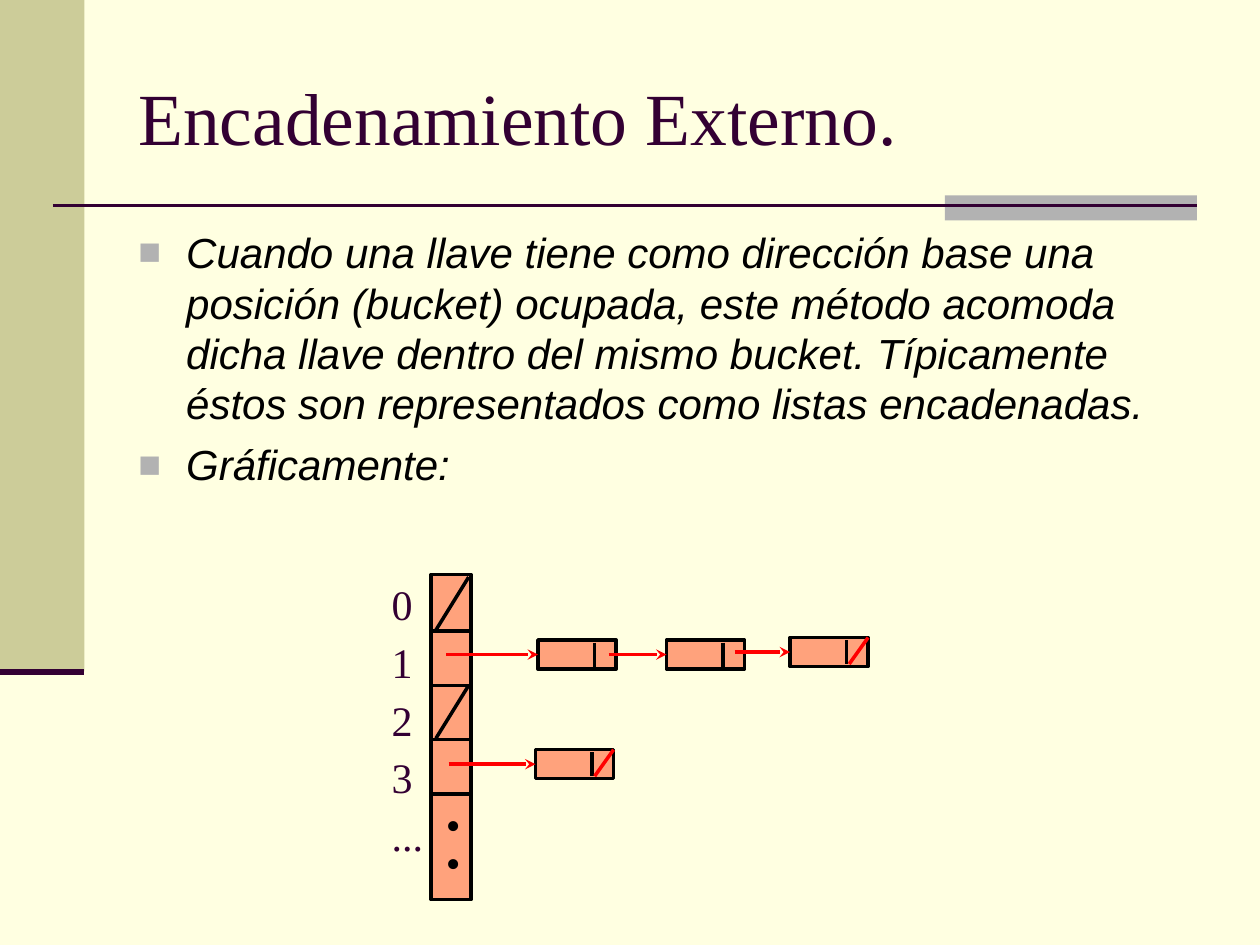
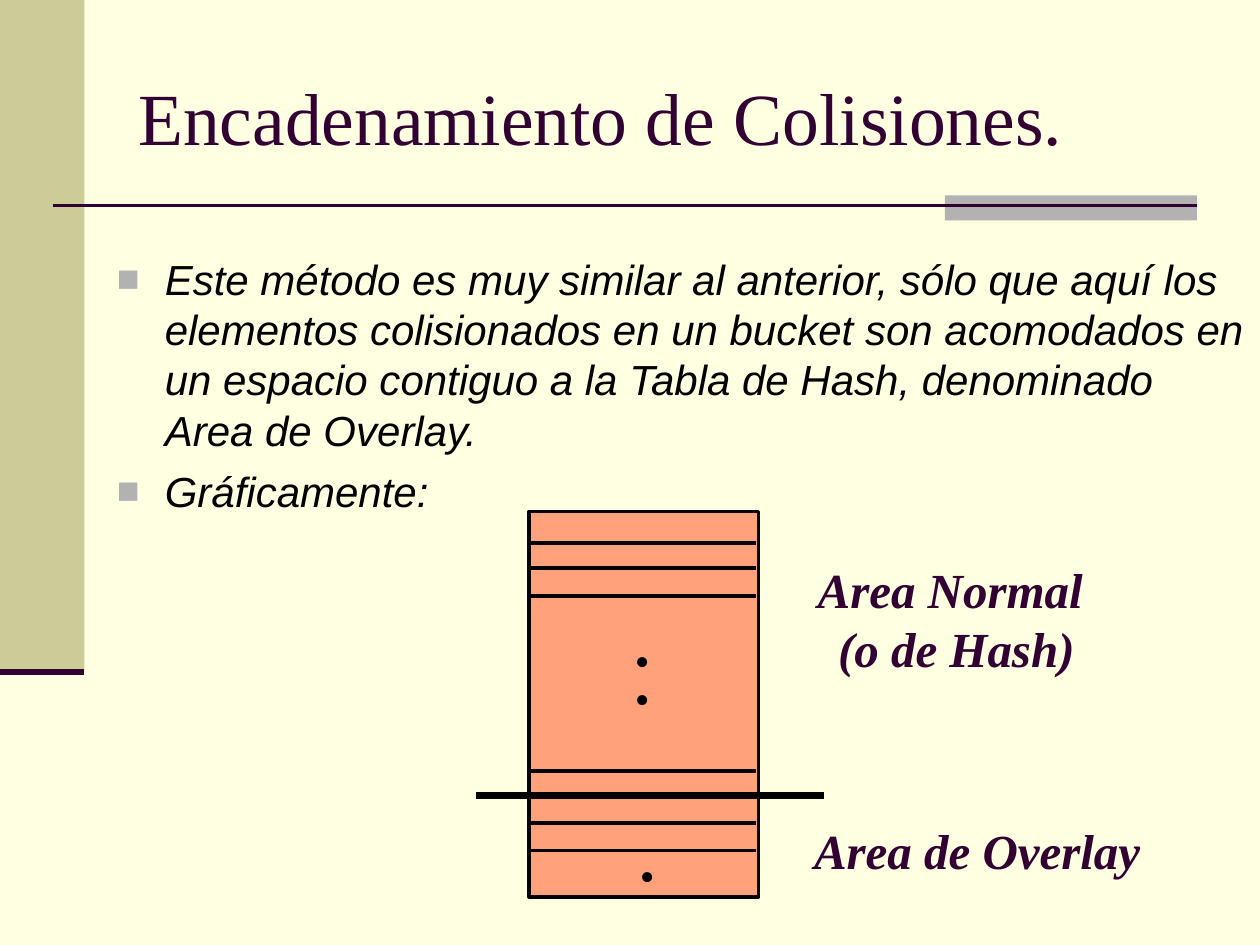
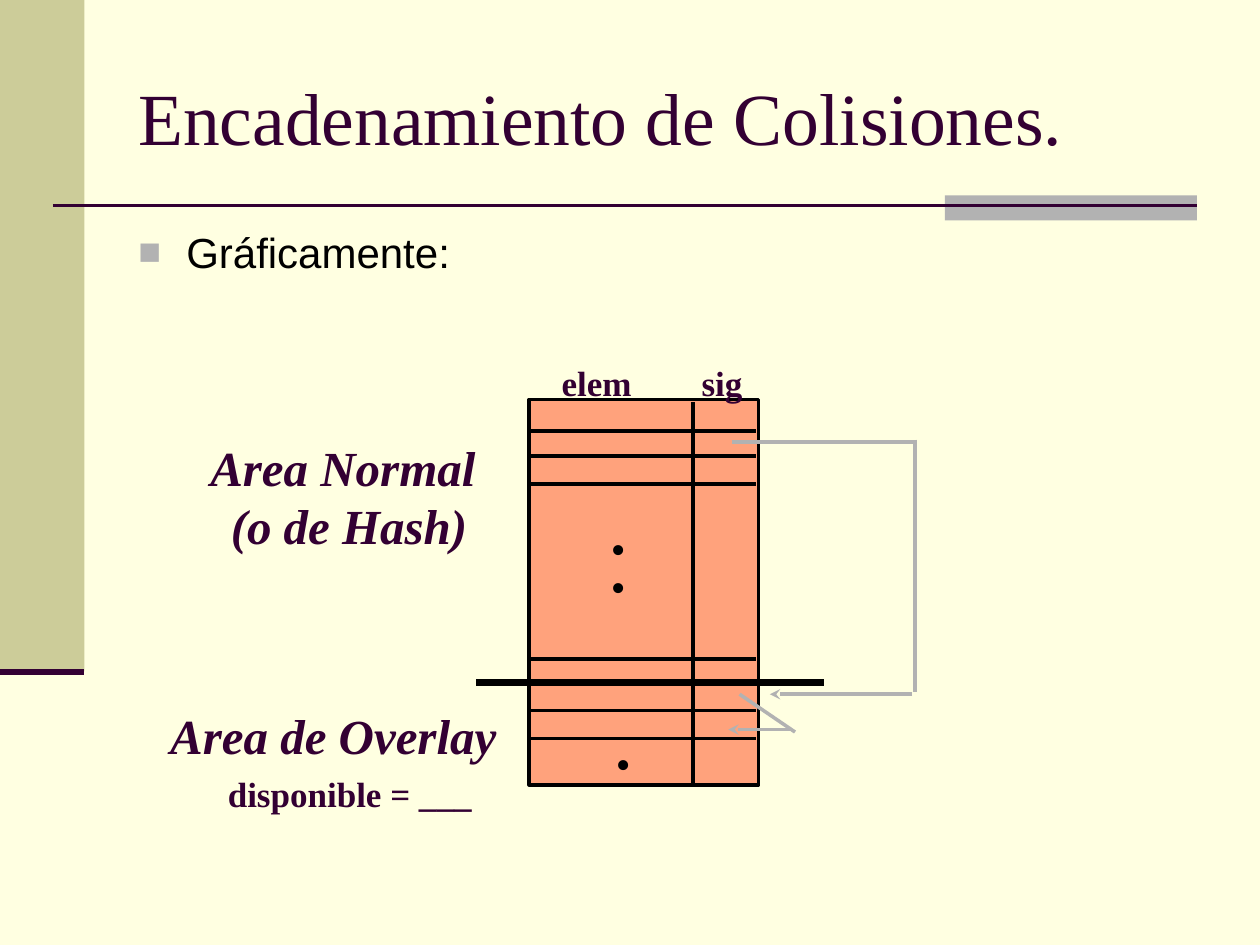
from pptx import Presentation
from pptx.dml.color import RGBColor
from pptx.enum.shapes import MSO_CONNECTOR, MSO_SHAPE
from pptx.enum.text import MSO_ANCHOR, MSO_AUTO_SIZE, PP_ALIGN
from pptx.oxml.ns import qn
from pptx.util import Inches, Pt
from lxml import etree

RECT, LINE = MSO_SHAPE.RECTANGLE, MSO_CONNECTOR.STRAIGHT
GROW, MIDDLE = MSO_AUTO_SIZE.SHAPE_TO_FIT_TEXT, MSO_ANCHOR.MIDDLE
LEFT, CENTER = PP_ALIGN.LEFT, PP_ALIGN.CENTER
SERIF, SANS = "Times New Roman", "Arial"
CREAM = RGBColor(0xFF, 0xFF, 0xE1)
OLIVE = RGBColor(0xCC, 0xCC, 0x99)
GRAY = RGBColor(0xB2, 0xB2, 0xB2)
PLUM = RGBColor(0x33, 0x00, 0x33)
SALMON = RGBColor(0xFF, 0xA2, 0x7C)
BLACK = RGBColor(0, 0, 0)
RED = RGBColor(0xFF, 0, 0)


def rule(slide, x1, y1, x2, y2, color=BLACK, width=2, arrow=False):
    line = slide.shapes.add_connector(LINE, *map(Inches, (x1, y1, x2, y2)))
    line.line.color.rgb = color
    line.line.width = Pt(width)
    if arrow:
        etree.SubElement(line.line._get_or_add_ln(), qn("a:tailEnd"), type="stealth")
    etree.SubElement(line._element.spPr, qn("a:effectLst"))
    return line


def write(slide, at, lines, size=24, color=PLUM, face=SERIF, bold=False,
          italic=False, align=LEFT, space=1.0, wrap=False):
    frame = slide.shapes.add_textbox(*map(Inches, at)).text_frame
    frame.word_wrap = wrap
    if not wrap:
        frame.auto_size = GROW
    for i, text in enumerate(lines):
        para = frame.paragraphs[0] if i == 0 else frame.add_paragraph()
        para.text = text
        para.alignment, para.line_spacing = align, space
        font = para.font
        font.name, font.size, font.color.rgb = face, Pt(size), color
        font.bold, font.italic = bold, italic
    return frame


deck = Presentation()
deck.slide_width, deck.slide_height = Inches(10), Inches(7.5)

# Node boxes of the linked lists: left, top, arrow start, ends the list
WIDE, HIGH = 0.62, 0.23
nodes = [(4.27, 5.08, 3.54, False), (5.29, 5.08, 4.83, False),
         (6.27, 5.06, 5.83, True), (4.25, 5.95, 3.56, True)]
# Hash tables on the last two slides
SIDE, SPAN, TALL = 4.2, 1.82, 3.06
TOPS = (4.06, 3.17)

pages = [
    ("Encadenamiento Externo.", (1, 1.75, 8.5, 4.95), True,
     ["Cuando una llave tiene como dirección base una posición (bucket) ocupada, "
      "este método acomoda dicha llave dentro del mismo bucket. Típicamente éstos "
      "son representados como listas encadenadas.", "Gráficamente:"],
     [(3.42, 4.56, 0.32, 2.58)] + [(x, y, WIDE, HIGH) for x, y, _, _ in nodes]),
    ("Encadenamiento de Colisiones.", (0.83, 1.96, 9.16, 2.64), True,
     ["Este método es muy similar al anterior, sólo que aquí los elementos "
      "colisionados en un bucket son acomodados en un espacio contiguo a la Tabla "
      "de Hash, denominado Area de Overlay.", "Gráficamente:"],
     [(SIDE, TOPS[0], SPAN, TALL)]),
    ("Encadenamiento de Colisiones.", (1, 1.75, 8.28, 0.95), False,
     ["Gráficamente:"], [(SIDE, TOPS[1], SPAN, TALL)]),
]

# Shared frame, title, bullets and filled boxes
slides, boxes = [], []
for title, area, slant, points, cells in pages:
    slide = deck.slides.add_slide(deck.slide_layouts[6])
    slides.append(slide)
    slide.background.fill.solid()
    slide.background.fill.fore_color.rgb = CREAM
    bars = [((0, 0, 0.67, 5.33), OLIVE), ((7.5, 1.55, 2, 0.2), GRAY)]
    for at, color in bars + [(cell, SALMON) for cell in cells]:
        box = slide.shapes.add_shape(RECT, *map(Inches, at))
        box.shadow.inherit = False
        box.fill.solid()
        box.fill.fore_color.rgb = color
        if color == SALMON:
            box.line.color.rgb, box.line.width = BLACK, Pt(2)
            boxes.append(box)
        else:
            box.line.fill.background()
    rule(slide, 0.42, 1.63, 9.5, 1.63, PLUM, 1.5)
    rule(slide, 0, 5.33, 0.67, 5.33, PLUM, 3.5)
    head = write(slide, (1, 0.3, 8.5, 1.25), [title], 42, wrap=True)
    head.vertical_anchor = MIDDLE
    body = write(slide, area, points, 24, BLACK, SANS, italic=slant, wrap=True)
    for para in body.paragraphs:
        para.space_before = Pt(6)
        props = para._p.get_or_add_pPr()
        props.set("marL", str(Inches(0.38)))
        props.set("indent", str(-Inches(0.38)))
        tint = etree.SubElement(props, qn("a:buClr"))
        etree.SubElement(tint, qn("a:srgbClr"), val=str(GRAY))
        etree.SubElement(props, qn("a:buSzPct"), val="90000")
        etree.SubElement(props, qn("a:buFont"), typeface=SANS)
        etree.SubElement(props, qn("a:buChar"), char="■")

# Slide 1: bucket column, empty buckets crossed out
chain = slides[0]
FIRST, STEP = 4.58, 0.43
for row in range(4):
    top, base = FIRST + row * STEP, FIRST + (row + 1) * STEP
    rule(chain, 3.42, base, 3.73, base)
    if row % 2 == 0:
        rule(chain, 3.46, base - 0.01, 3.72, top)
write(chain, (3.01, 4.48, 0.45, 2.4), ["0", "1", "2", "3", "..."], space=1.15)
write(chain, (3.44, 6.38, 0.32, 0.7), ["•", "•"], color=BLACK, space=0.75)

# Slide 1: linked nodes
for box, (x, y, start, last) in zip(boxes[1:], nodes):
    low, mid = y + 0.21, y + HIGH / 2
    rule(chain, x + 0.45, y + 0.02, x + 0.45, low)
    link = rule(chain, start, mid, x, mid, RED, arrow=True)
    link.end_connect(box, 1)
    if last:
        rule(chain, x + 0.47, low, x + WIDE, y, RED)

# Slides 2 and 3: hash table with overlay area
notes = [((6.39, 4.39), (6.36, 6.46), 4.94), ((1.57, 3.42), (1.25, 5.55), 4.75)]
for slide, top, (normal, over, dot) in zip(slides[1:], TOPS, notes):
    for gap in (0.25, 0.45, 0.67, 2.06, 2.47, 2.69):
        rule(slide, SIDE + 0.01, top + gap, SIDE + SPAN - 0.02, top + gap)
    rule(slide, 3.78, top + 2.25, 6.54, top + 2.25, width=4)
    write(slide, (*normal, 2.4, 1.04), ["Area Normal ", "(o de Hash)"], 28,
          bold=True, italic=True, align=CENTER)
    write(slide, (*over, 2.79, 0.57), ["Area de Overlay"], 28,
          bold=True, italic=True, align=CENTER)
    write(slide, (dot, top + 1.02, 0.32, 0.7), ["•", "•"], color=BLACK, space=0.75)
    write(slide, (dot + 0.04, top + 2.73, 0.27, 0.4), ["•"], color=BLACK, space=0.75)

# Slide 3: columns, free slot and overflow links
last = slides[2]
rule(last, 5.5, 3.19, 5.5, 6.23)
names = write(last, (4.36, 2.82, 1.64, 0.43), ["elem\tsig"], 20, bold=True)
stops = etree.SubElement(names.paragraphs[0]._p.get_or_add_pPr(), qn("a:tabLst"))
etree.SubElement(stops, qn("a:tab"), pos=str(Inches(1.11)), algn="l")
# The tab list must stand before the default run properties
stops.getparent().insert(1, stops)
write(last, (1.71, 6.08, 2.14, 0.43), ["disponible = ___"], 20, bold=True)
for ends in ((5.81, 3.51, 7.26, 3.51), (7.26, 3.49, 7.26, 5.49), (5.87, 5.51, 6.31, 5.81)):
    rule(last, *ends, GRAY)
for ends in ((7.24, 5.51, 6.11, 5.51), (6.28, 5.79, 5.78, 5.79)):
    rule(last, *ends, GRAY, arrow=True)

deck.save("out.pptx")
